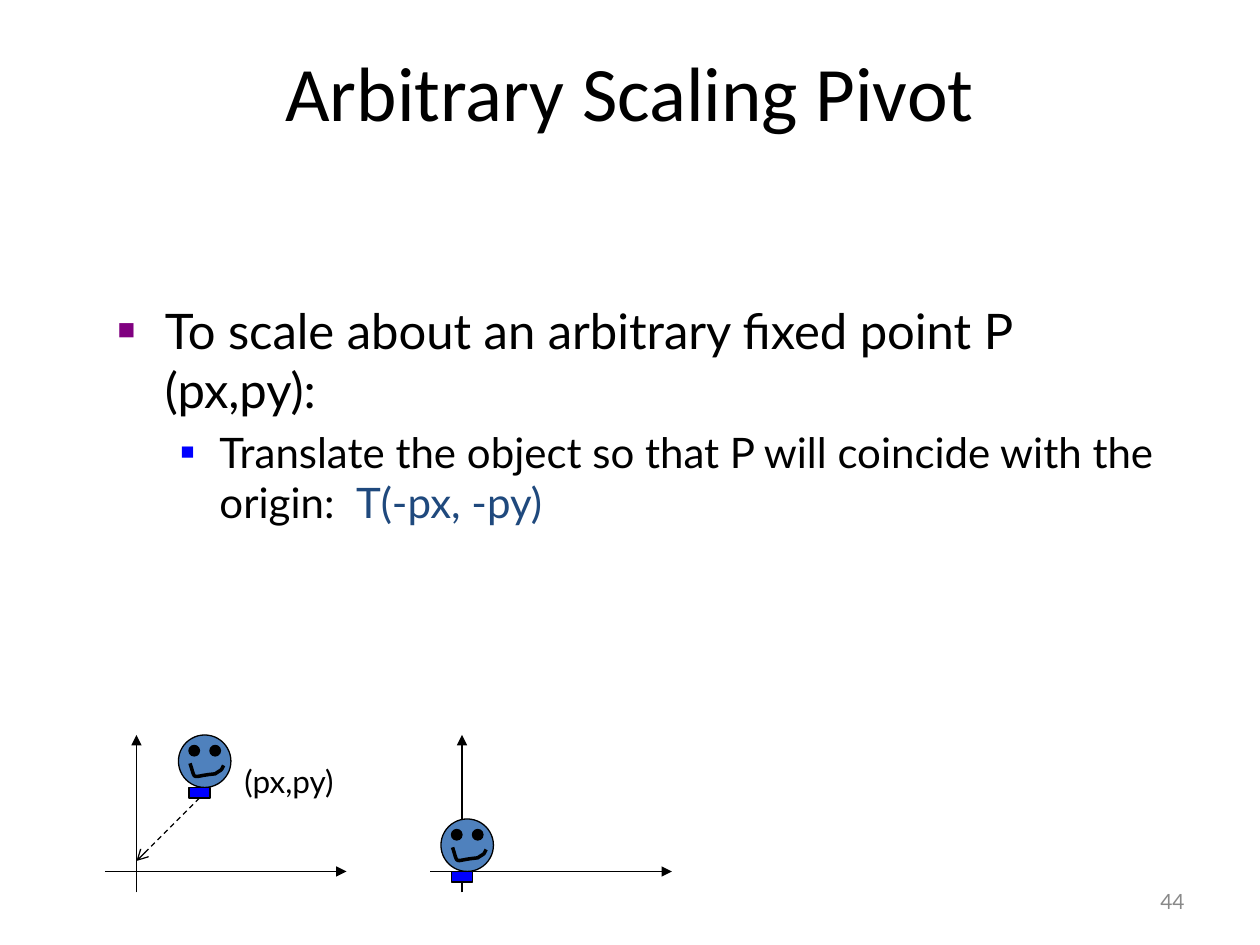
from dataclasses import dataclass

from pptx import Presentation
from pptx.dml.color import RGBColor
from pptx.enum.dml import MSO_LINE
from pptx.enum.shapes import MSO_CONNECTOR, MSO_SHAPE
from pptx.enum.text import MSO_ANCHOR, MSO_AUTO_SIZE, PP_ALIGN
from pptx.oxml.xmlchemy import OxmlElement
from pptx.util import Pt

PX = 7620  # EMU in one px, 120 px to the inch


@dataclass(frozen=True)
class Theme:
    title_font: str = "Calibri"
    text_font: str = "Lato"
    title_size: int = 44
    list_sizes: tuple = (28, 24)
    label_size: int = 18
    number_size: int = 12
    ink: str = "000000"
    accent: str = "1F497D"
    muted: str = "898989"
    face: str = "4F81BD"
    pivot: str = "0000FF"
    bullets: tuple = ("800080", "0000FF")
    thin: float = 0.75
    thick: float = 2


THEME = Theme()

TITLE = "Arbitrary Scaling Pivot"
ITEMS = [  # level and its (text, colour) spans
    (0, [("To scale about an arbitrary fixed point P (px,py):", THEME.ink)]),
    (1, [("Translate the object so that P will coincide with the origin:  ", THEME.ink),
         ("T(-px, -py)", THEME.accent)]),
]
PIVOT_LABEL = "(px,py)"
PAGE_NUMBER = "44"

# Each level: left margin, hanging indent, bullet size in percent
LEVELS = [(45, 45, 60), (97, 37, 55)]

# Each plot: origin of the axes, then top left corner of the face
PLOTS = {"before": ((130, 830), (170, 700)), "after": ((440, 830), (420, 780))}
AXES = [((-30, 0), (200, 0)), ((0, 20), (0, -130))]
FACE_SIZE, EYE_SIZE = 50, 10
EYES = [(10, 10), (30, 10)]
PIVOT_BOX = (10, 50, 20, 10)
MOUTH_START = (11, 27)
MOUTH_CURVES = [
    [(0, 0), (6, 18), (0, 12), (24, 10)],
    [(24, 10), (31, 5), (29, 8), (32, 2)],
]
CURVE_STEPS = 10


def emu(*lengths):
    return [round(length * PX) for length in lengths]


def place(shape, box):
    for name, value in zip(("left", "top", "width", "height"), emu(*box)):
        setattr(shape, name, value)


def child(parent, tag, **attributes):
    element = OxmlElement(tag)
    for name, value in attributes.items():
        element.set(name, str(value))
    parent.append(element)
    return element


def write(para, text, size, colour, font=THEME.text_font):
    span = para.add_run()
    span.text = text
    for name, value in {"size": Pt(size), "name": font}.items():
        setattr(span.font, name, value)
    span.font.color.rgb = RGBColor.from_string(colour)


def set_frame(shape, **settings):
    for name, value in settings.items():
        setattr(shape.text_frame, name, value)
    return shape.text_frame


def set_line(line, width=THEME.thin):
    line.color.rgb = RGBColor.from_string(THEME.ink)
    line.width = Pt(width)


def add_solid(shapes, kind, box, colour):
    shape = shapes.add_shape(kind, *emu(*box))
    shape.shadow.inherit = False
    shape.fill.solid()
    shape.fill.fore_color.rgb = RGBColor.from_string(colour)
    set_line(shape.line)
    return shape


def add_arrow(shapes, start, end, head="triangle", dash=None):
    arrow = shapes.add_connector(MSO_CONNECTOR.STRAIGHT, *emu(*start, *end))
    set_line(arrow.line)
    if dash:
        arrow.line.dash_style = dash
    child(arrow.line._get_or_add_ln(), "a:tailEnd", type=head)
    child(arrow._element.spPr, "a:effectLst")
    return arrow


def shift(point, offset):
    return point[0] + offset[0], point[1] + offset[1]


def curve_point(curve, t):
    weights = ((1 - t) ** 3, 3 * t * (1 - t) ** 2, 3 * t * t * (1 - t), t ** 3)
    return tuple(sum(w * p[axis] for w, p in zip(weights, curve)) for axis in (0, 1))


def add_mouth(shapes, corner):
    start = shift(corner, MOUTH_START)
    points = [emu(*shift(start, curve_point(curve, step / CURVE_STEPS)))
              for curve in MOUTH_CURVES for step in range(1, CURVE_STEPS + 1)]
    builder = shapes.build_freeform(*emu(*start))
    builder.add_line_segments(points, close=False)
    mouth = builder.convert_to_shape()
    mouth.shadow.inherit = False
    mouth.fill.background()
    set_line(mouth.line, THEME.thick)


def add_plot(page, origin, corner):
    """Draw axes and a face; return the pivot block under the face."""
    axes = page.shapes.add_group_shape().shapes
    for start, end in AXES:
        add_arrow(axes, shift(origin, start), shift(origin, end))
    face = page.shapes.add_group_shape().shapes
    add_solid(face, MSO_SHAPE.OVAL, (*corner, FACE_SIZE, FACE_SIZE), THEME.face)
    for eye in EYES:
        add_solid(face, MSO_SHAPE.OVAL, (*shift(corner, eye), EYE_SIZE, EYE_SIZE), THEME.ink)
    add_mouth(face, corner)
    box = (*shift(corner, PIVOT_BOX[:2]), *PIVOT_BOX[2:])
    return add_solid(page.shapes, MSO_SHAPE.RECTANGLE, box, THEME.pivot)


def fill_list(frame):
    for index, (level, spans) in enumerate(ITEMS):
        para = frame.paragraphs[0] if index == 0 else frame.add_paragraph()
        para.level = level
        margin, hanging, percent = LEVELS[level]
        props = para._p.get_or_add_pPr()
        props.set("marL", str(margin * PX))
        props.set("indent", str(-hanging * PX))
        child(child(props, "a:buClr"), "a:srgbClr", val=THEME.bullets[level])
        child(props, "a:buSzPct", val=percent * 1000)
        child(props, "a:buFont", typeface="Arial")
        child(props, "a:buChar", char="■")
        size = THEME.list_sizes[level]
        para.space_before = Pt(0.2 * size if index else 0)
        for text, colour in spans:
            write(para, text, size, colour)


def main():
    deck = Presentation()
    deck.slide_width, deck.slide_height = emu(1200, 900)
    page = deck.slides.add_slide(deck.slide_layouts[1])
    title, body = page.placeholders
    fixed = {"auto_size": MSO_AUTO_SIZE.NONE, "vertical_anchor": MSO_ANCHOR.TOP, "word_wrap": True}

    place(title, (60, 36, 1080, 150))
    heading = set_frame(title, **fixed).paragraphs[0]
    heading.alignment = PP_ALIGN.CENTER
    write(heading, TITLE, THEME.title_size, THEME.ink, THEME.title_font)

    place(body, (100, 280, 1020, 540))
    fill_list(set_frame(body, **fixed))

    pivots = {name: add_plot(page, *plot) for name, plot in PLOTS.items()}
    origin, corner = PLOTS["before"]
    move = add_arrow(page.shapes, shift(corner, (20, 60)), shift(origin, (0, -10)),
                     "arrow", MSO_LINE.DASH)
    move.begin_connect(pivots["before"], 2)

    label = page.shapes.add_textbox(*emu(221, 720, 119, 48))
    frame = set_frame(label, word_wrap=False, auto_size=MSO_AUTO_SIZE.SHAPE_TO_FIT_TEXT)
    write(frame.paragraphs[0], PIVOT_LABEL, THEME.label_size, THEME.ink)

    number = page.shapes.add_textbox(*emu(860, 834, 280, 48))
    frame = set_frame(number, word_wrap=True, vertical_anchor=MSO_ANCHOR.MIDDLE)
    frame.paragraphs[0].alignment = PP_ALIGN.RIGHT
    write(frame.paragraphs[0], PAGE_NUMBER, THEME.number_size, THEME.muted)

    deck.save("out.pptx")


if __name__ == "__main__":
    main()
